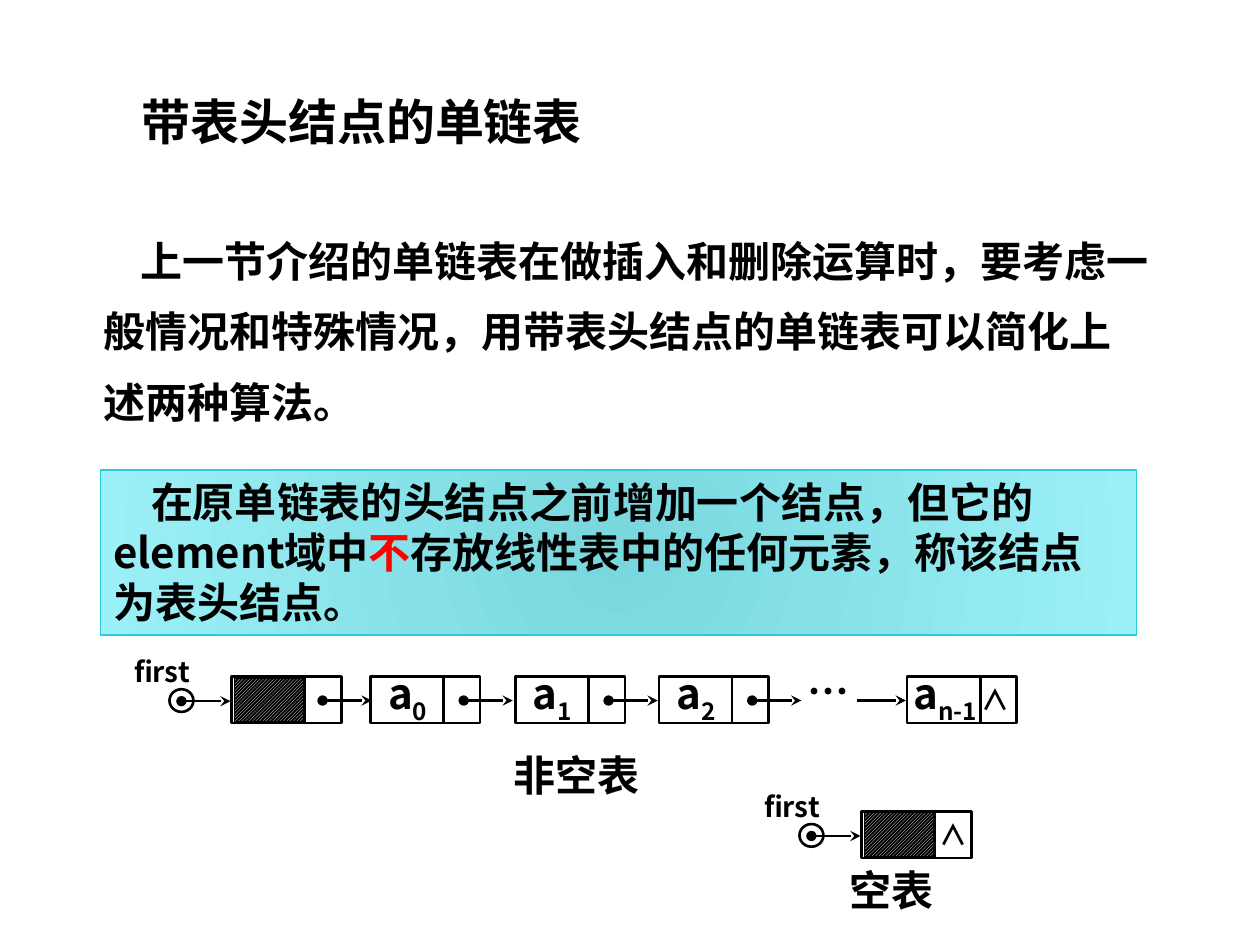
"""Build a slide on singly linked lists with a header node."""
from lxml import etree
from pptx import Presentation, util as u
from pptx.dml.color import RGBColor
from pptx.enum import dml, shapes, text
from pptx.oxml.ns import qn

BLACK = RGBColor(0x00, 0x00, 0x00)
WHITE = RGBColor(0xFF, 0xFF, 0xFF)
RED = RGBColor(0xFF, 0x00, 0x00)
TEAL = RGBColor(0x27, 0xCE, 0xD7)
GRADIENT = ((0, RGBColor(0x79, 0xD7, 0xDE)), (100000, RGBColor(0x9C, 0xF0, 0xF7)))
FONT = "Noto Sans CJK SC"

TITLE = "带表头结点的单链表"
INTRO = "上一节介绍的单链表在做插入和删除运算时，要考虑一般情况和特殊情况，用带表头结点的单链表可以简化上述两种算法。"
DEFINITION = [
    ("在原单链表的头结点之前增加一个结点，但它的element域中", {}),
    ("不", {"color": RED}),
    ("存放线性表中的任何元素，称该结点为表头结点。", {}),
]
NODES = [("0", 29.4), ("1", 40.9), ("2", 52.3)]
LAST_NODE = ("n-1", 72)
HEADERS = {"full": (18.4, 53.7), "empty": (68.4, 64.4)}
CAPTIONS = [("非空表", (39.8, 59, 12.1, 5.1)), ("空表", (66.4, 68.1, 8.8, 5.1))]

NODE_WIDTH, NODE_HEIGHT, DIVIDER = 8.7, 3.7, 5.8
COLUMNS, ROWS = 100, 75

deck = Presentation()
deck.slide_width, deck.slide_height = u.Inches(10), u.Inches(7.5)
page = deck.slides.add_slide(deck.slide_layouts[6])


def grid(*values):
    """Turn column and row numbers, in turn, into slide lengths."""
    cells = (deck.slide_width / COLUMNS, deck.slide_height / ROWS)
    return [u.Emu(round(value * cells[i % 2])) for i, value in enumerate(values)]


def write(box, spans, size=24, indent=0, spacing=None, align=text.PP_ALIGN.LEFT,
          inset=True, wrap=True):
    """Fill a box with one paragraph made of text spans."""
    frame = box.text_frame
    frame.word_wrap = wrap
    frame.vertical_anchor = text.MSO_ANCHOR.TOP
    if not inset:
        frame.margin_left = frame.margin_right = 0
        frame.margin_top = frame.margin_bottom = 0
    para = frame.paragraphs[0]
    para.alignment = align
    if spacing:
        para.line_spacing = spacing
    if indent:
        para._p.get_or_add_pPr().set("indent", str(u.Inches(indent)))
    for words, style in [(spans, {})] if isinstance(spans, str) else spans:
        span = para.add_run()
        span.text = words
        span.font.size, span.font.bold, span.font.name = u.Pt(size), True, FONT
        span.font.color.rgb = style.get("color", BLACK)
        properties = span.font._element
        etree.SubElement(properties, qn("a:ea"), typeface=FONT)
        if "baseline" in style:
            properties.set("baseline", str(style["baseline"]))


def label(place, spans, **style):
    write(page.shapes.add_textbox(*grid(*place)), spans, **style)


def outline(kind, place, color=BLACK, width=1.5):
    shape = page.shapes.add_shape(kind, *grid(*place))
    shape.shadow.inherit = False
    shape.fill.background()
    shape.line.color.rgb, shape.line.width = color, u.Pt(width)
    return shape


def line(x, y, end_x, end_y, head=None, tail=None):
    stroke = page.shapes.add_connector(shapes.MSO_CONNECTOR.STRAIGHT, *grid(x, y, end_x, end_y))
    stroke.line.color.rgb, stroke.line.width = BLACK, u.Pt(1.5)
    pen = stroke.line._get_or_add_ln()
    for tag, kind in (("a:headEnd", head), ("a:tailEnd", tail)):
        if kind:
            etree.SubElement(pen, qn(tag), type=kind)
    etree.SubElement(stroke._element.spPr, qn("a:effectLst"))


def link(x, y, head="oval"):
    line(x, y, x + 3.9, y, head, "stealth")


def node(x, y):
    outline(shapes.MSO_SHAPE.RECTANGLE, (x, y, NODE_WIDTH, NODE_HEIGHT))
    line(x + DIVIDER, y, x + DIVIDER, y + NODE_HEIGHT)


def element(x, y, index, offset, width):
    node(x, y)
    label((x + offset, y - 0.7, width, 4), [("a", {}), (index, {"baseline": -25000})], inset=False)


def header(x, y):
    """Draw the first pointer and the hatched header node."""
    link(x - 4, y + 1.95)
    outline(shapes.MSO_SHAPE.OVAL, (x - 4.95, y + 1, 1.9, 1.8))
    label((x - 7.75, y - 1.75, 7.7, 2.7), "first", size=16, inset=False)
    node(x, y)
    fill = outline(shapes.MSO_SHAPE.RECTANGLE, (x + 0.2, y + 0.1, 5.5, 3.5), width=0.75).fill
    fill.patterned()
    fill.pattern = dml.MSO_PATTERN.LIGHT_UPWARD_DIAGONAL
    fill.fore_color.rgb, fill.back_color.rgb = WHITE, BLACK


def end_mark(x, y):
    label((x, y + 0.5, 2.9, 2.7), "∧", size=16, inset=False)


def definition_panel():
    panel = outline(shapes.MSO_SHAPE.RECTANGLE, (8, 37.3, 82.2, 13.1), TEAL, 0.75)
    properties = panel._element.spPr
    gradient = etree.Element(qn("a:gradFill"), rotWithShape="1")
    stops = etree.SubElement(gradient, qn("a:gsLst"))
    for position, color in GRADIENT:
        stop = etree.SubElement(stops, qn("a:gs"), pos=str(position))
        etree.SubElement(stop, qn("a:srgbClr"), val=str(color))
    circle = etree.SubElement(gradient, qn("a:path"), path="circle")
    etree.SubElement(circle, qn("a:fillToRect"), {side: "100000" for side in "ltrb"})
    properties.replace(properties.find(qn("a:noFill")), gradient)
    write(panel, DEFINITION, indent=0.3)


def main():
    label((2.7, 6.8, 52, 5.7), TITLE, size=28, align=text.PP_ALIGN.CENTER)
    label((7.2, 16.6, 85.1, 18), INTRO, indent=0.3, spacing=1.4)
    definition_panel()
    for corner in HEADERS.values():
        header(*corner)
    x, y = HEADERS["full"]
    link_y = y + 1.9
    link(x + 7.2, link_y)
    for index, x in NODES:
        element(x, y, index, 1.4, 3.9)
        link(x + 7.4, link_y)
    index, x = LAST_NODE
    element(x, y, index, 0.5, 5.2)
    link(x - 4, link_y, head=None)
    label((x - 7.9, y - 0.9, 3.9, 4), "…", inset=False)
    end_mark(x + 5.9, y)
    x, y = HEADERS["empty"]
    end_mark(x + 6.2, y)
    for words, place in CAPTIONS:
        label(place, words, wrap=False)
    deck.save("out.pptx")


if __name__ == "__main__":
    main()
